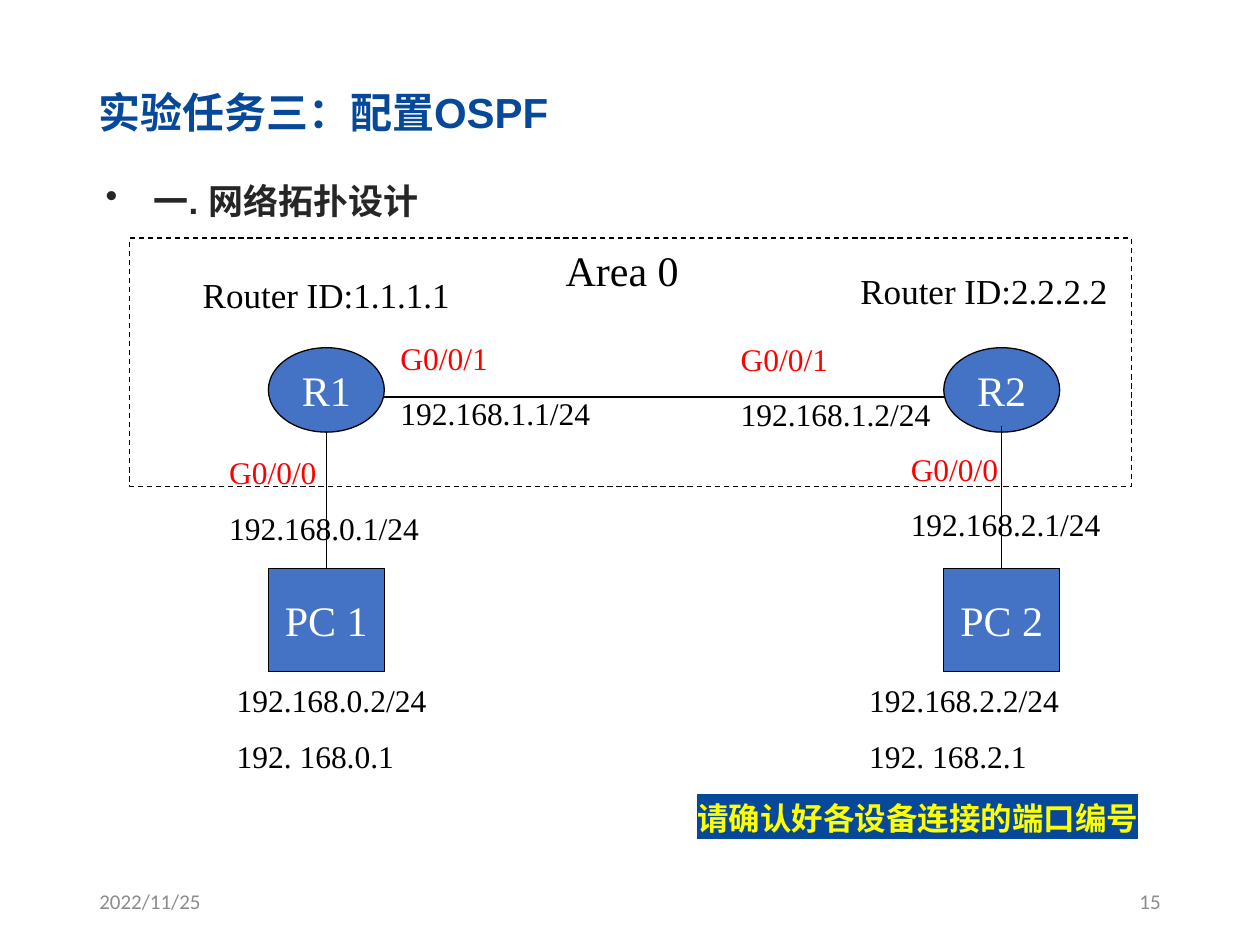
from dataclasses import dataclass

from lxml import etree
from pptx import Presentation
from pptx import util as u
from pptx.dml.color import RGBColor
from pptx.enum import dml, shapes, text
from pptx.oxml.ns import qn


@dataclass(frozen=True)
class Theme:
    sans: str = "Arial"
    serif: str = "Times New Roman"
    small: str = "Calibri"
    blue: str = "064899"
    node: str = "4472C4"
    dark: str = "262626"
    grey: str = "8C8C8C"
    black: str = "000000"
    white: str = "FFFFFF"
    red: str = "FF0000"
    yellow: str = "FFFF00"
    big: int = 24
    mid: int = 20
    body: int = 18
    foot: int = 12
    line: float = 0.75
    gap: int = 10


T = Theme()
W, H = 10, 7.5
LEFT, CENTER, RIGHT = text.PP_ALIGN.LEFT, text.PP_ALIGN.CENTER, text.PP_ALIGN.RIGHT
TOP, MIDDLE = text.MSO_ANCHOR.TOP, text.MSO_ANCHOR.MIDDLE


def inches(*values):
    return [u.Inches(v) for v in values]


def rgb(color):
    return RGBColor.from_string(color)


def write(sp, lines, size, font, colors, bold=None, align=LEFT, anchor=TOP, wrap=True):
    """Fill a shape with one paragraph per line, each in its own colour."""
    tf = sp.text_frame
    tf.word_wrap, tf.vertical_anchor = wrap, anchor
    tf.text = "\n".join(lines)
    for i, (p, color) in enumerate(zip(tf.paragraphs, colors)):
        p.alignment = align
        if i:
            p.space_before = u.Pt(T.gap)
        p.font.size, p.font.name, p.font.bold = u.Pt(size), font, bold
        p.font.color.rgb = rgb(color)
    return tf.paragraphs[0]


def label(s, box, lines, size, font, colors, **style):
    return write(s.shapes.add_textbox(*inches(*box)), lines, size, font, colors, **style)


def outlined(s, kind, box, fill=None):
    sp = s.shapes.add_shape(kind, *inches(*box))
    sp.shadow.inherit = False
    if fill:
        sp.fill.solid()
        sp.fill.fore_color.rgb = rgb(fill)
    else:
        sp.fill.background()
    sp.line.color.rgb, sp.line.width = rgb(T.black), u.Pt(T.line)
    return sp


def device(s, kind, box, name):
    sp = outlined(s, kind, box, T.node)
    write(sp, [name], T.big, T.serif, [T.white], align=CENTER, anchor=MIDDLE, wrap=False)
    return sp


def cable(s, x1, y1, x2, y2):
    c = s.shapes.add_connector(shapes.MSO_CONNECTOR.STRAIGHT, *inches(x1, y1, x2, y2))
    c.line.color.rgb, c.line.width = rgb(T.black), u.Pt(T.line)
    etree.SubElement(c._element.spPr, qn("a:effectLst"))
    return c


def heading(s, box):
    x, y, w, h = box
    label(s, (x, y, w, 0.5), ["实验任务三：配置OSPF"], T.big, T.sans, [T.blue],
          bold=True, anchor=MIDDLE)
    p = label(s, (x + 0.06, y + 0.57, w, 0.55), ["一. 网络拓扑设计"], T.mid, T.sans,
              [T.dark], bold=True)
    p.line_spacing = 1.5
    pPr = p._p.get_or_add_pPr()
    indent = u.Inches(0.38)
    pPr.set("marL", str(indent))
    pPr.set("indent", str(-indent))
    bullet = etree.Element(qn("a:buChar"), char="•")
    pPr.find(qn("a:defRPr")).addprevious(bullet)


def area(s, box):
    x, y, w, h = box
    frame = outlined(s, shapes.MSO_SHAPE.RECTANGLE, box)
    frame.line.dash_style = dml.MSO_LINE.DASH
    label(s, (x + 3.36, y, 1.11, 0.5), ["Area 0"], T.big, T.serif, [T.black], wrap=False)


def site(s, box, n, net, drop, places):
    """One router above its PC; places are label offsets (dx, dy, width) from the box."""
    x, y, w, h = box
    router_h, pc_h = 0.67, 0.82
    device(s, shapes.MSO_SHAPE.OVAL, (x, y, w, router_h), f"R{n}")
    pc = device(s, shapes.MSO_SHAPE.RECTANGLE, (x, y + h - pc_h, w, pc_h), f"PC {n}")
    mid = x + w / 2
    cable(s, mid, y + drop, mid, y + h - pc_h).end_connect(pc, 0)

    port = [T.red, T.black]
    notes = {
        "link": (["G0/0/1", f"192.168.1.{n}/24"], port),
        "lan": (["G0/0/0", f"192.168.{net}.1/24"], port),
        "host": ([f"192.168.{net}.2/24", f"192. 168.{net}.1"], [T.black] * 2),
    }
    for key, (lines, colors) in notes.items():
        dx, dy, width = places[key]
        label(s, (x + dx, y + dy, width, 0.86), lines, T.body, T.serif, colors)
    dx, dy, width = places["id"]
    label(s, (x + dx, y + dy, width, 0.44), [f"Router ID:{n}.{n}.{n}.{n}"], T.mid,
          T.serif, [T.black], wrap=False)


def topology(s, box):
    x, y, w, h = box
    area(s, (x, y, w, 1.97))
    node_w, node_y, site_h = 0.92, y + 0.87, 2.57
    left, right = x + 1.1, x + 6.46
    cable(s, left + 0.87, y + 1.26, right, y + 1.26)
    site(s, (left, node_y, node_w, site_h), 1, 0, 0.67, {
        "link": (0.95, -0.12, 1.88), "lan": (-0.41, 0.79, 1.73),
        "host": (-0.35, 2.6, 2.04), "id": (-0.62, -0.64, 2.18)})
    site(s, (right, node_y, node_w, site_h), 2, 2, 0.62, {
        "link": (-1.71, -0.11, 1.81), "lan": (-0.36, 0.76, 1.82),
        "host": (-0.69, 2.6, 2.05), "id": (-0.76, -0.67, 2.18)})


def reminder(s, box):
    p = label(s, box, ["请确认好各设备连接的端口编号"], T.body, T.small, [T.yellow],
              bold=True, align=CENTER)
    mark = etree.SubElement(p.runs[0]._r.get_or_add_rPr(), qn("a:highlight"))
    etree.SubElement(mark, qn("a:srgbClr"), val=T.blue)


def footer(s, box):
    x, y, w, h = box
    part = 2.25
    for left, words, align in ((x, "2022/11/25", LEFT), (x + w - part, "15", RIGHT)):
        label(s, (left, y, part, h), [words], T.foot, T.small, [T.grey],
              align=align, anchor=MIDDLE)


def main():
    prs = Presentation()
    prs.slide_width, prs.slide_height = inches(W, H)
    s = prs.slides.add_slide(prs.slide_layouts[6])
    heading(s, (0.68, 0.64, 8.52, 1.12))
    topology(s, (1.03, 1.89, 7.95, 4.33))
    reminder(s, (5.41, 6.29, 3.75, 0.4))
    footer(s, (0.69, 6.95, 8.62, 0.4))
    prs.save("out.pptx")


if __name__ == "__main__":
    main()
